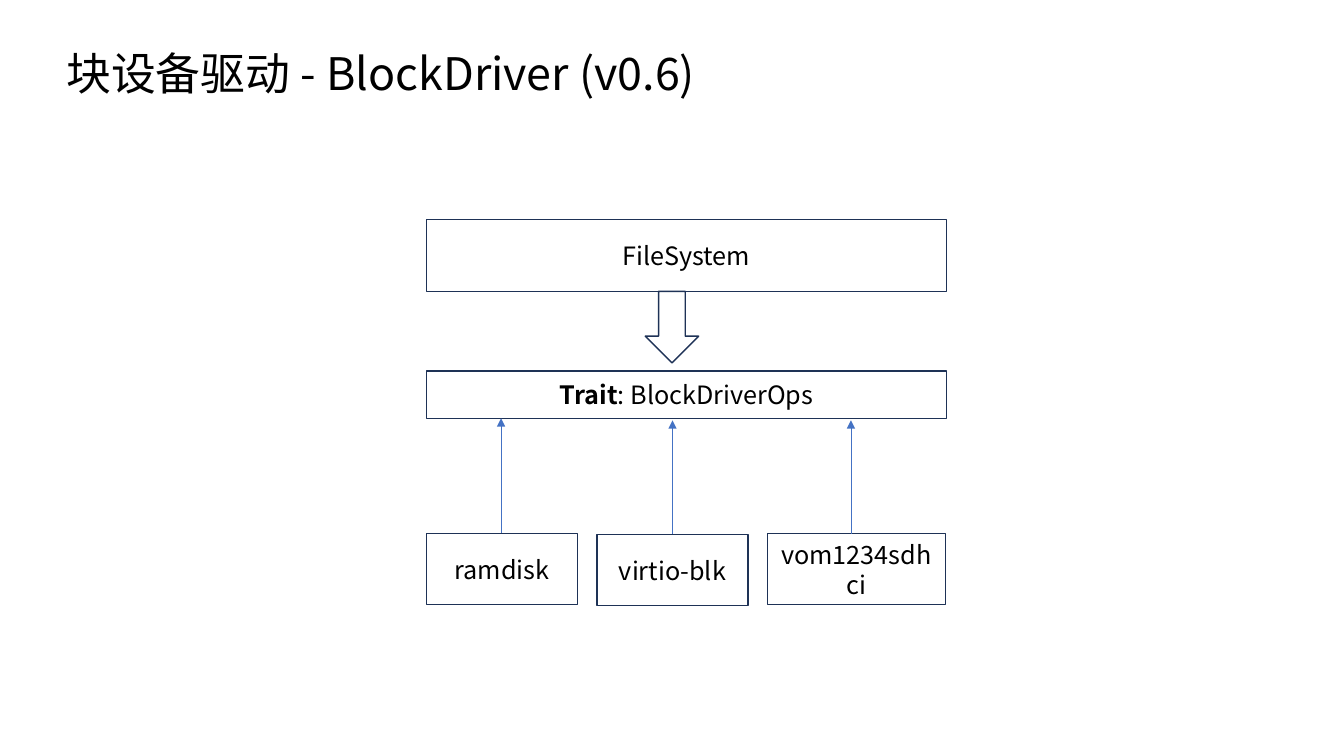
from dataclasses import dataclass

from lxml.etree import SubElement
from pptx import Presentation
from pptx.dml.color import RGBColor
from pptx.enum.shapes import MSO_CONNECTOR as Link, MSO_SHAPE as Kind
from pptx.enum.text import MSO_ANCHOR as Anchor, MSO_AUTO_SIZE as Fit, PP_ALIGN as Align
from pptx.oxml.ns import qn
from pptx.slide import Slide
from pptx.text.text import TextFrame
from pptx.util import Emu, Pt

PX = 9144
FONT = "Noto Sans CJK SC"
COLORS = {"text": "000000", "fill": "FFFFFF", "edge": "1E3256", "link": "4472C4"}


@dataclass
class Box:
    left: int
    top: int
    width: int
    height: int
    text: str = ""
    bold: str = ""
    kind: Kind = Kind.RECTANGLE


@dataclass
class Arrow:
    x: int
    start: int
    end: int


BOXES = [
    Box(423, 368, 516, 47, ": BlockDriverOps", "Trait"),
    Box(423, 529, 150, 71, "ramdisk"),
    Box(761, 529, 177, 71, "vom1234sdhci"),
    Box(592, 530, 150, 71, "virtio-blk"),
    Box(423, 218, 516, 71, "FileSystem"),
    Box(640, 289, 53, 71, kind=Kind.DOWN_ARROW),
]
ARROWS = [Arrow(497, 529, 415), Arrow(667, 530, 417), Arrow(844, 530, 417)]


def px(size: int) -> Emu:
    return Emu(size * PX)


def color(name: str) -> RGBColor:
    return RGBColor.from_string(COLORS[name])


def style(frame: TextFrame, size: int) -> None:
    for run in frame.paragraphs[0].runs:
        run.font.size = Pt(size)
        run.font.name = FONT
        run.font.color.rgb = color("text")
        SubElement(run.font._element, qn("a:ea"), typeface=FONT)


def add_title(slide: Slide, text: str) -> None:
    frame = slide.shapes.add_textbox(px(56), px(40), px(1090), px(64)).text_frame
    frame.word_wrap = True
    frame.auto_size = Fit.SHAPE_TO_FIT_TEXT
    frame.text = text
    style(frame, 32)


def add_box(slide: Slide, box: Box) -> None:
    shape = slide.shapes.add_shape(
        box.kind, px(box.left), px(box.top), px(box.width), px(box.height)
    )
    shape.shadow.inherit = False
    shape.fill.solid()
    shape.fill.fore_color.rgb = color("fill")
    shape.line.color.rgb = color("edge")
    shape.line.width = Pt(1)
    if box.text:
        frame = shape.text_frame
        frame.word_wrap = True
        frame.vertical_anchor = Anchor.MIDDLE
        line = frame.paragraphs[0]
        line.alignment = Align.CENTER
        line.text = box.bold or box.text
        if box.bold:
            line.runs[0].font.bold = True
            line.add_run().text = box.text
        style(frame, 18)


def add_arrow(slide: Slide, arrow: Arrow) -> None:
    link = slide.shapes.add_connector(
        Link.STRAIGHT, px(arrow.x), px(arrow.start), px(arrow.x), px(arrow.end)
    )
    link.line.color.rgb = color("link")
    link.line.width = Pt(0.5)
    props = link._element.spPr
    SubElement(props.find(qn("a:ln")), qn("a:tailEnd"), type="triangle")
    SubElement(props, qn("a:effectLst"))


def main() -> None:
    deck = Presentation()
    deck.slide_width, deck.slide_height = px(1333), px(750)
    slide = deck.slides.add_slide(deck.slide_layouts[6])
    add_title(slide, "块设备驱动 - BlockDriver (v0.6)")
    for box in BOXES:
        add_box(slide, box)
    for arrow in ARROWS:
        add_arrow(slide, arrow)
    deck.save("out.pptx")


if __name__ == "__main__":
    main()
